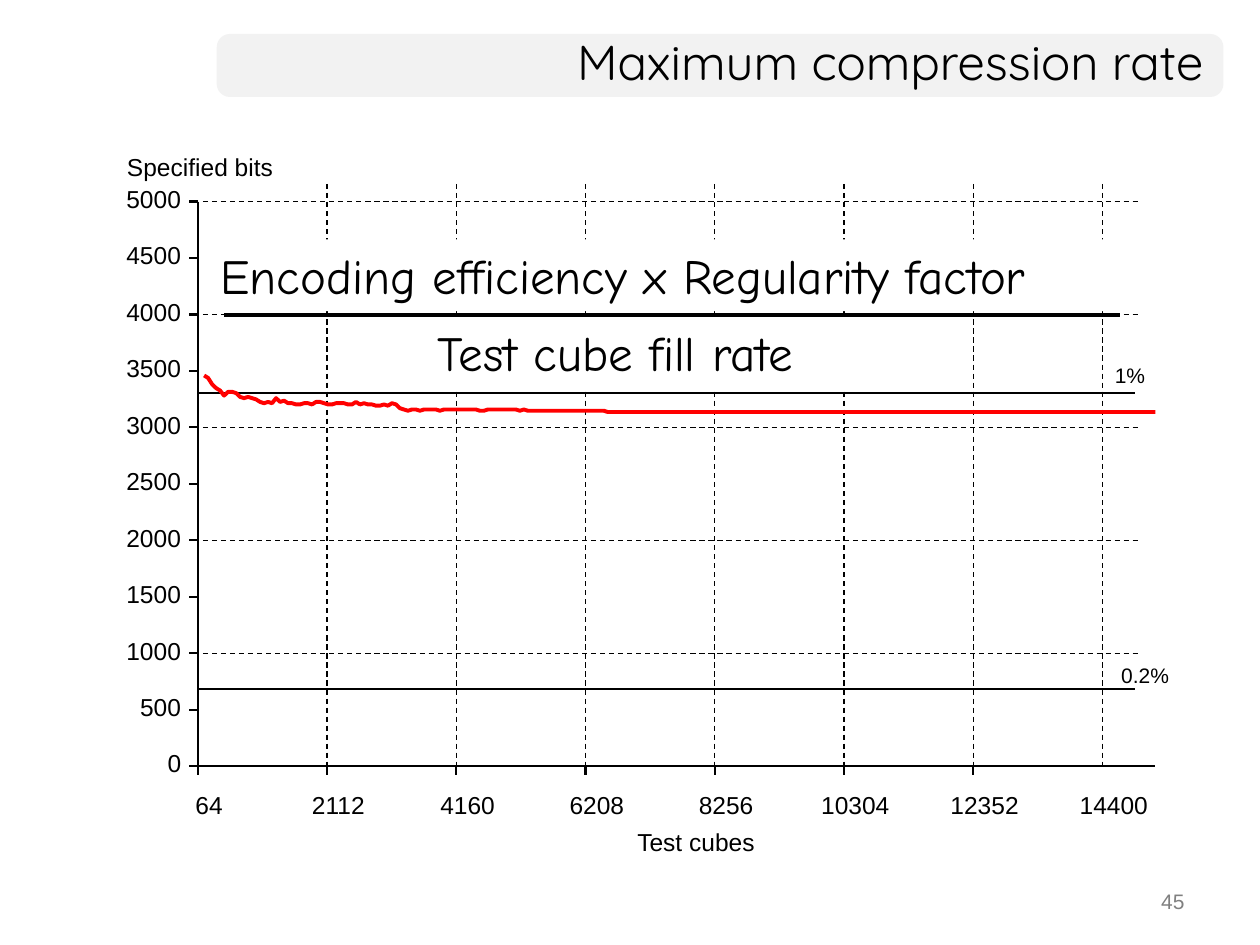
from dataclasses import dataclass

from lxml import etree
from pptx import Presentation
from pptx import util as u
from pptx.dml.color import RGBColor
from pptx.enum import dml, shapes, text
from pptx.oxml.ns import qn


@dataclass(frozen=True)
class Theme:
    black: str = "000000"
    white: str = "FFFFFF"
    band: str = "F2F2F2"
    grey: str = "808080"
    curve: str = "FF0000"
    title_font: str = "Quicksand"
    formula_font: str = "Comic Neue"
    label_font: str = "Arial"
    large: int = 28
    label: int = 14
    small: int = 12
    thin: float = 0.75
    axis: float = 1.25
    level: float = 1.5
    heavy: float = 2.25


@dataclass(frozen=True)
class Label:
    wording: str
    left: float
    top: float
    width: float
    height: float
    size: int = Theme.label
    font: str = Theme.label_font
    color: str = Theme.black
    align: text.PP_ALIGN = text.PP_ALIGN.LEFT
    anchor: text.MSO_ANCHOR = text.MSO_ANCHOR.TOP
    margin: bool = True
    wrap: bool = False
    fill: str | None = None


THEME = Theme()

# Plot geometry: the axes share one origin and even tick steps
ORIGIN_X, ORIGIN_Y = 1.57, 6.08
AXIS_TOP, AXIS_RIGHT = 1.6, 9.17
TICK = 0.07
BIT_STEP, BIT_GAP = 500, (ORIGIN_Y - AXIS_TOP) / 10
CUBE_START, CUBE_STEP, CUBE_GAP = 64, 2048, 7.18 / 7
DIGIT = 0.11

# Heights of the specified-bits curve at even steps from left to right
CURVE_LEFT, CURVE_POINTS = 1.62, 239
CURVE_START = [
    2.98, 3.0, 3.05, 3.08, 3.1, 3.14, 3.11, 3.11, 3.12, 3.15, 3.16, 3.15, 3.16,
    3.17, 3.19, 3.2, 3.19, 3.2, 3.16, 3.19, 3.18, 3.2, 3.2, 3.21, 3.21, 3.2,
    3.2, 3.21, 3.19, 3.19, 3.2, 3.21, 3.21, 3.2, 3.2, 3.2, 3.21, 3.21, 3.19,
    3.21, 3.2, 3.21, 3.21, 3.22, 3.22, 3.21, 3.22, 3.2, 3.21, 3.24, 3.25, 3.26,
    3.25, 3.25, 3.26, 3.25, 3.25, 3.25, 3.25, 3.26,
]
CURVE_SETTLING = [3.25] * 9 + [3.26] * 2 + [3.25] * 8 + [3.26, 3.25] + [3.26] * 20
CURVE_FLAT = 3.27


def rgb(color: str) -> RGBColor:
    return RGBColor.from_string(color)


def format_runs(paragraph, size: int, font: str, color: str) -> None:
    for run in paragraph.runs:
        run.font.size = u.Pt(size)
        run.font.name = font
        run.font.color.rgb = rgb(color)


def draw_label(slide, label: Label) -> None:
    place = [u.Inches(v) for v in (label.left, label.top, label.width, label.height)]
    if label.fill:
        box = slide.shapes.add_shape(shapes.MSO_SHAPE.RECTANGLE, *place)
        box.shadow.inherit = False
        box.fill.solid()
        box.fill.fore_color.rgb = rgb(label.fill)
        box.line.fill.background()
    else:
        box = slide.shapes.add_textbox(*place)
    frame = box.text_frame
    frame.text = label.wording
    frame.word_wrap = label.wrap
    if not label.wrap:
        frame.auto_size = text.MSO_AUTO_SIZE.SHAPE_TO_FIT_TEXT
    frame.vertical_anchor = label.anchor
    if not label.margin:
        frame.margin_left = frame.margin_right = 0
        frame.margin_top = frame.margin_bottom = 0
    frame.paragraphs[0].alignment = label.align
    format_runs(frame.paragraphs[0], label.size, label.font, label.color)


def draw_line(slide, x1: float, y1: float, x2: float, y2: float,
              weight: float, dashed: bool = False) -> None:
    rule = slide.shapes.add_connector(
        shapes.MSO_CONNECTOR.STRAIGHT,
        u.Inches(x1), u.Inches(y1), u.Inches(x2), u.Inches(y2))
    rule.line.color.rgb = rgb(THEME.black)
    rule.line.width = u.Pt(weight)
    if dashed:
        rule.line.dash_style = dml.MSO_LINE.DASH
    etree.SubElement(rule.element.spPr, qn("a:effectLst"))


def draw_title(slide) -> None:
    title = slide.shapes.title
    title.left, title.top = u.Inches(1.72), u.Inches(0.27)
    title.width, title.height = u.Inches(7.93), u.Inches(0.5)
    frame = title.text_frame
    frame.text = "Maximum compression rate"
    frame.word_wrap = True
    frame.auto_size = text.MSO_AUTO_SIZE.NONE
    frame.vertical_anchor = text.MSO_ANCHOR.MIDDLE
    heading = frame.paragraphs[0]
    heading.alignment = text.PP_ALIGN.RIGHT
    heading.line_spacing = 0.85
    format_runs(heading, THEME.large, THEME.title_font, THEME.black)

    # Grey band behind the title
    band = slide.shapes.add_shape(
        shapes.MSO_SHAPE.ROUNDED_RECTANGLE,
        title.left, title.top, u.Inches(7.99), title.height)
    band.adjustments[0] = 0.21
    band.shadow.inherit = False
    band.fill.solid()
    band.fill.fore_color.rgb = rgb(THEME.band)
    band.line.fill.background()
    title.element.addprevious(band.element)


def draw_axes(slide) -> None:
    draw_line(slide, ORIGIN_X, AXIS_TOP, ORIGIN_X, ORIGIN_Y, THEME.axis)
    draw_line(slide, ORIGIN_X, ORIGIN_Y, AXIS_RIGHT, ORIGIN_Y, THEME.axis)
    for i in range(11):
        y, bits = ORIGIN_Y - i * BIT_GAP, str(i * BIT_STEP)
        width = DIGIT * len(bits)
        draw_line(slide, ORIGIN_X - TICK, y, ORIGIN_X, y, THEME.axis)
        draw_label(slide, Label(bits, 1.44 - width, y - 0.14, width, 0.24,
                                align=text.PP_ALIGN.CENTER, margin=False))
        if i and i % 2 == 0:
            draw_line(slide, 1.61, y, 9.04, y, THEME.thin, dashed=True)
    for i in range(8):
        x, cubes = ORIGIN_X + i * CUBE_GAP, str(CUBE_START + i * CUBE_STEP)
        width = DIGIT * len(cubes)
        if i < 7:
            draw_line(slide, x, ORIGIN_Y + TICK, x, ORIGIN_Y, THEME.axis)
        draw_label(slide, Label(cubes, x + 0.09 - width / 2, 6.27, width, 0.24,
                                align=text.PP_ALIGN.CENTER, margin=False))
        if i:
            draw_line(slide, x, 1.46, x, 6.1, THEME.thin, dashed=True)


def draw_curve(slide) -> None:
    heights = CURVE_START + CURVE_SETTLING
    heights += [CURVE_FLAT] * (CURVE_POINTS - len(heights))
    step = (AXIS_RIGHT - CURVE_LEFT) / (CURVE_POINTS - 1)
    points = [(u.Inches(CURVE_LEFT + i * step), u.Inches(y))
              for i, y in enumerate(heights)]
    builder = slide.shapes.build_freeform(*points[0])
    builder.add_line_segments(points[1:], close=False)
    curve = builder.convert_to_shape()
    curve.shadow.inherit = False
    curve.fill.background()
    curve.line.color.rgb = rgb(THEME.curve)
    curve.line.width = u.Pt(THEME.heavy)


def main() -> None:
    deck = Presentation()
    deck.slide_width, deck.slide_height = u.Inches(10), u.Inches(7.5)
    slide = deck.slides.add_slide(deck.slide_layouts[5])
    middle = text.MSO_ANCHOR.MIDDLE

    draw_title(slide)
    draw_label(slide, Label("45", 7.17, 7, 2.33, 0.35, THEME.small, color=THEME.grey,
                            align=text.PP_ALIGN.RIGHT, wrap=True))

    # Chart with its two fill-rate levels
    draw_axes(slide)
    for rate, left, top, y in (("1%", 8.75, 2.83, 3.12), ("0.2%", 8.8, 5.21, 5.47)):
        draw_label(slide, Label(rate, left, top, 0.8, 0.36, THEME.small, wrap=True))
        draw_line(slide, 1.58, y, 9.01, y, THEME.level)
    draw_label(slide, Label("Test cubes", 4.96, 6.51, 1.14, 0.34, anchor=middle))
    draw_label(slide, Label("Specified bits", 0.91, 1.15, 1.37, 0.34, anchor=middle))
    draw_curve(slide)

    # Compression-rate fraction
    for term, left, top, width in (
            ("Encoding efficiency x Regularity factor", 1.65, 1.9, 7.37),
            ("Test cube fill rate", 3.37, 2.51, 3.55)):
        draw_label(slide, Label(term, left, top, width, 0.57, THEME.large,
                                THEME.formula_font, anchor=middle, fill=THEME.white))
    draw_line(slide, 1.78, 2.5, 8.89, 2.5, THEME.heavy)

    deck.save("out.pptx")


if __name__ == "__main__":
    main()
